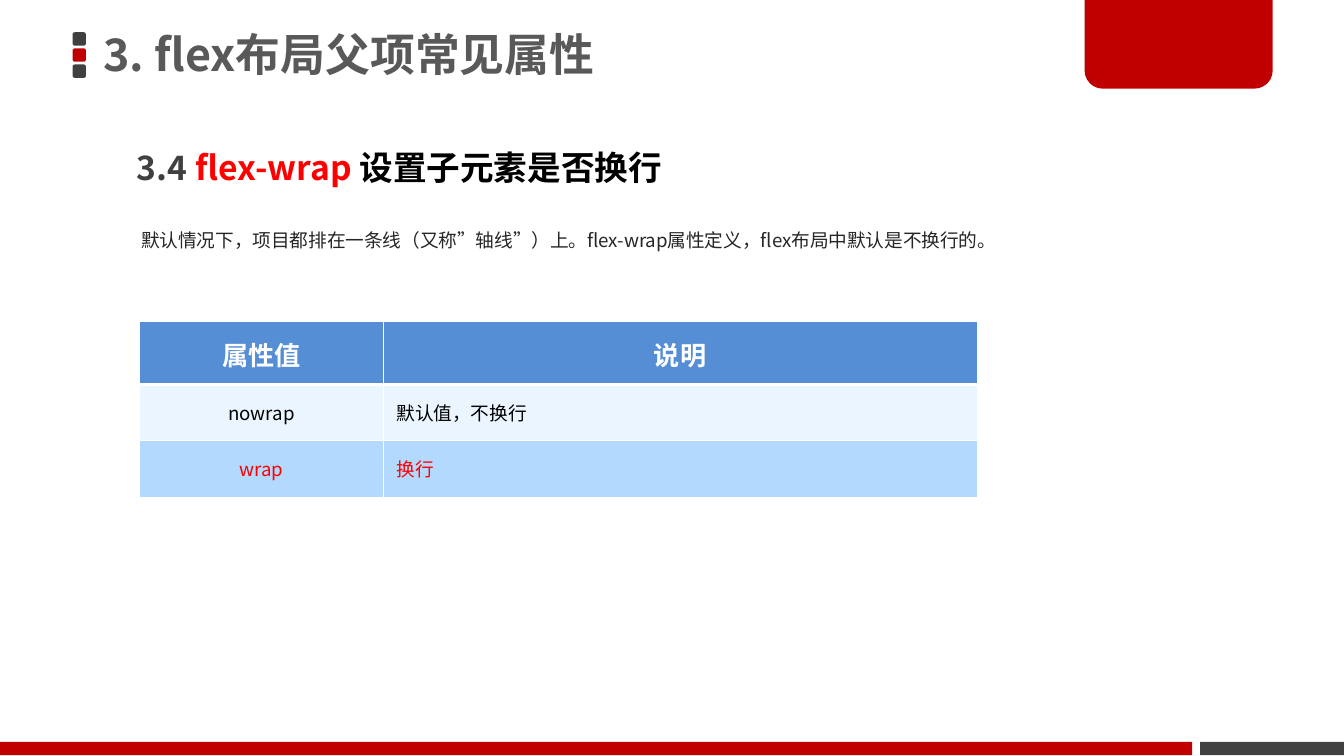
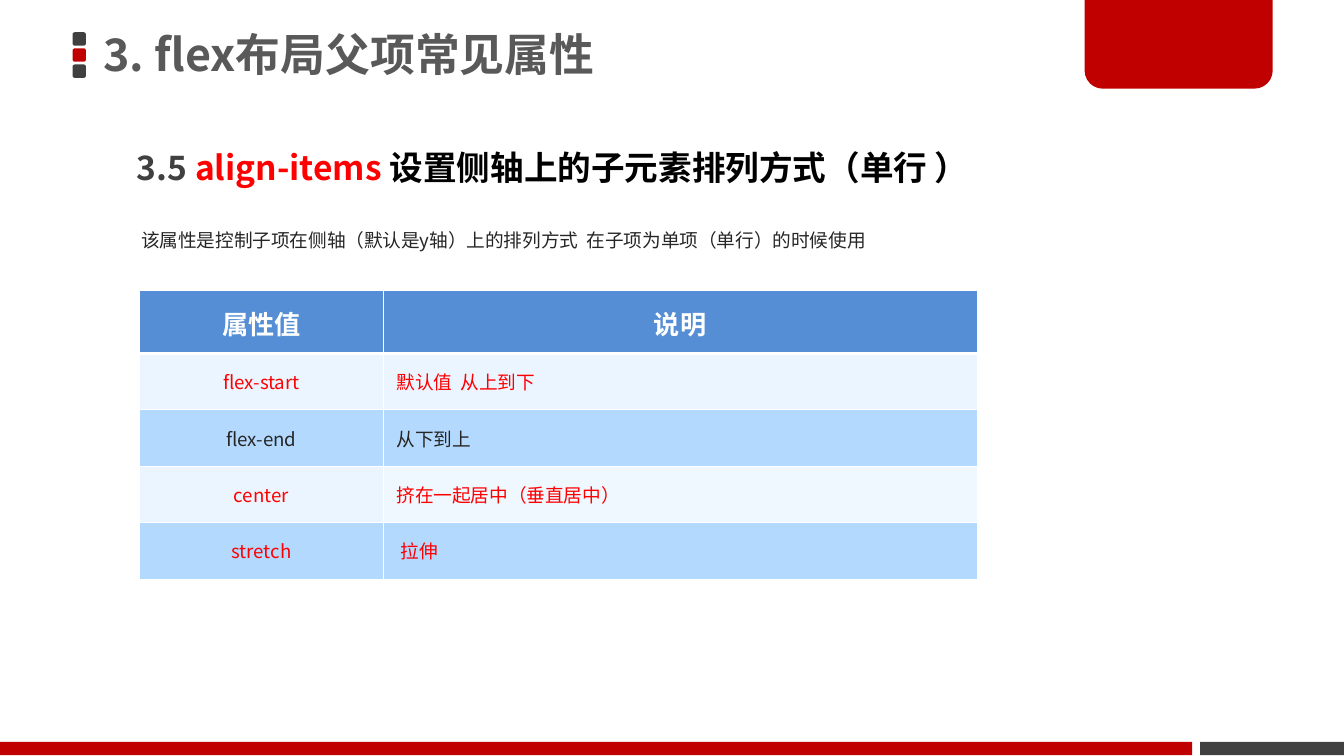
from lxml import etree
from pptx import Presentation
from pptx import util as u
from pptx.dml import color
from pptx.enum import shapes, text
from pptx.oxml import ns

FACE = "Noto Sans CJK SC"
RED, DARK, HOT, INK, BLACK, WHITE = "C00000", "404040", "FF0000", "262626", "000000", "FFFFFF"
BLUE, PALE, SKY = "558ED5", "EBF5FF", "B3D9FF"
MID, LEFT = text.PP_ALIGN.CENTER, text.PP_ALIGN.LEFT
TITLE = "3. flex布局父项常见属性"
PAGES = [
    {
        "head": ["3.4 ", "flex-wrap ", "设置子元素是否换行"],
        "wide": 7.01,
        "note": " 默认情况下，项目都排在一条线（又称”轴线”）上。flex-wrap属性定义，flex布局中默认是不换行的。",
        "top": 2.39,
        "rows": [("nowrap", "默认值，不换行", BLACK), ("wrap", "换行", HOT)],
    },
    {
        "head": ["3.5 ", "align-items ", "设置侧轴上的子元素排列方式（单行 ）"],
        "wide": 8.14,
        "note": " 该属性是控制子项在侧轴（默认是y轴）上的排列方式  在子项为单项（单行）的时候使用",
        "top": 2.16,
        "rows": [
            ("flex-start", "默认值  从上到下", HOT),
            ("flex-end", "从下到上", INK),
            ("center", "挤在一起居中（垂直居中）", HOT),
            ("stretch", " 拉伸", HOT),
        ],
    },
]


def paint(fill, hue):
    fill.solid()
    fill.fore_color.rgb = color.RGBColor.from_string(hue)


def write(para, words, hue, size, bold=False):
    run = para.add_run()
    run.text = words
    for key, val in {"name": FACE, "size": u.Pt(size), "bold": bold}.items():
        setattr(run.font, key, val)
    run.font.color.rgb = color.RGBColor.from_string(hue)
    etree.SubElement(run.font._element, ns.qn("a:ea"), typeface=FACE)


deck = Presentation()
deck.slide_width = u.Inches(10)
deck.slide_height = deck.slide_width * 9 // 16
ROUND, RECT = shapes.MSO_SHAPE.ROUNDED_RECTANGLE, shapes.MSO_SHAPE.RECTANGLE
TAB = shapes.MSO_SHAPE.ROUND_2_SAME_RECTANGLE
DECOR = [(ROUND, 0.54, 0.24 + 0.12 * i, 0.1, 0.1, hue, [0.17]) for i, hue in enumerate([DARK, RED, DARK])]
DECOR += [
    (RECT, 8.93, 5.52, 1.07, 0.1, DARK, []),
    (TAB, 8.07, -0.02, 1.4, 0.68, RED, [0, 0.2]),
    (RECT, 0, 5.52, 8.87, 0.1, RED, []),
]

for page in PAGES:
    slide = deck.slides.add_slide(deck.slide_layouts[5])

    for kind, x, y, w, h, hue, bends in DECOR:
        part = slide.shapes.add_shape(kind, *map(u.Inches, (x, y, w, h)))
        part.shadow.inherit = False
        paint(part.fill, hue)
        part.line.fill.background()
        for i, bend in enumerate(bends):
            part.adjustments[i] = bend

    title = slide.shapes.title
    place = {"left": 0.69, "top": -0.02, "width": 5.89, "height": 0.89}
    for key, val in place.items():
        setattr(title, key, u.Inches(val))
    frame = title.text_frame
    inset = {"margin_left": 0.08, "margin_right": 0.08, "margin_top": 0.04, "margin_bottom": 0.04}
    for key, val in inset.items():
        setattr(frame, key, u.Inches(val))
    frame.auto_size = text.MSO_AUTO_SIZE.NONE
    frame.vertical_anchor = text.MSO_ANCHOR.MIDDLE
    para = frame.paragraphs[0]
    para.alignment, para.line_spacing = LEFT, 0.9
    write(para, TITLE, "595959", 24, True)

    head = list(zip(page["head"], [DARK, HOT, BLACK]))
    texts = [(0.89, page["wide"], 0.55, head, 18, True), (1.57, 8.31, 0.35, [(page["note"], INK)], 10, False)]
    for y, w, h, runs, size, bold in texts:
        frame = slide.shapes.add_textbox(*map(u.Inches, (0.92, y, w, h))).text_frame
        frame.word_wrap = True
        frame.auto_size = text.MSO_AUTO_SIZE.SHAPE_TO_FIT_TEXT
        para = frame.paragraphs[0]
        para.line_spacing = 1.5
        for words, hue in runs:
            write(para, words, hue, size, bold)

    rows = [("属性值", "说明", WHITE)] + page["rows"]
    highs = [0.47] + [0.42] * len(page["rows"])
    area = map(u.Inches, (1.04, page["top"], 6.23, sum(highs)))
    grid = slide.shapes.add_table(len(rows), 2, *area).table
    grid.horz_banding = False
    for col, wide in zip(grid.columns, [1.81, 4.42]):
        col.width = u.Inches(wide)
    for r, (row, high) in enumerate(zip(rows, highs)):
        grid.rows[r].height = u.Inches(high)
        for c in range(2):
            cell = grid.cell(r, c)
            para = cell.text_frame.paragraphs[0]
            para.alignment = MID if r == 0 or c == 0 else LEFT
            if r == 0:
                para.line_spacing = u.Pt(24)
            else:
                cell.vertical_anchor = text.MSO_ANCHOR.MIDDLE
            write(para, row[c], row[2], 10 if r else 14, r == 0)
            props = cell._tc.get_or_add_tcPr()
            for side in "LRTB":
                thick = (r, side) in [(0, "B"), (1, "T")]
                edge = etree.SubElement(props, ns.qn("a:ln" + side), w=str(u.Pt(1.47 if thick else 0.45)))
                solid = etree.SubElement(edge, ns.qn("a:solidFill"))
                etree.SubElement(solid, ns.qn("a:srgbClr"), val=WHITE)
            paint(cell.fill, BLUE if r == 0 else PALE if r % 2 else SKY)
            if (r, c) == (3, 1):
                paint(cell.fill, "EFF7FF")

deck.save("out.pptx")
